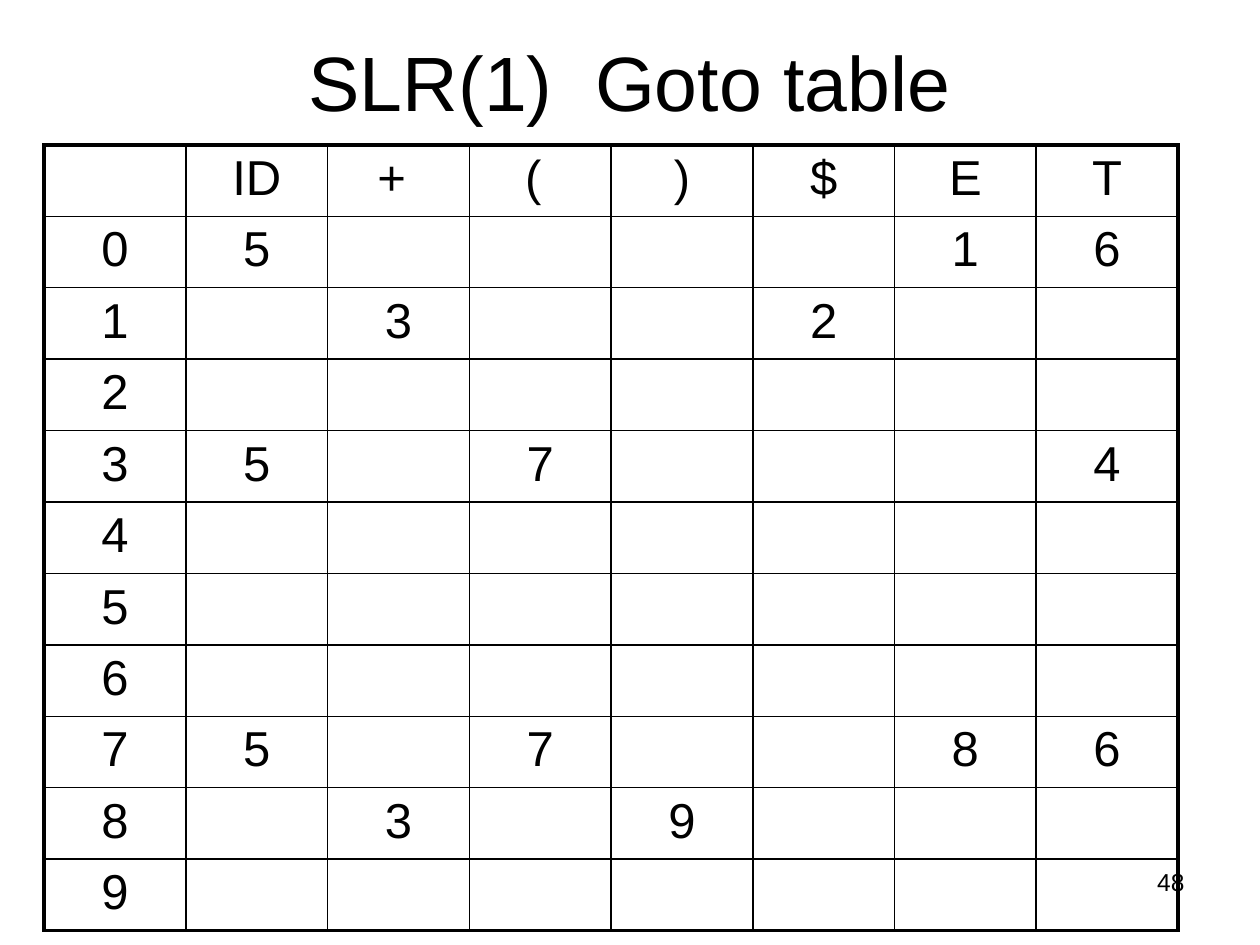
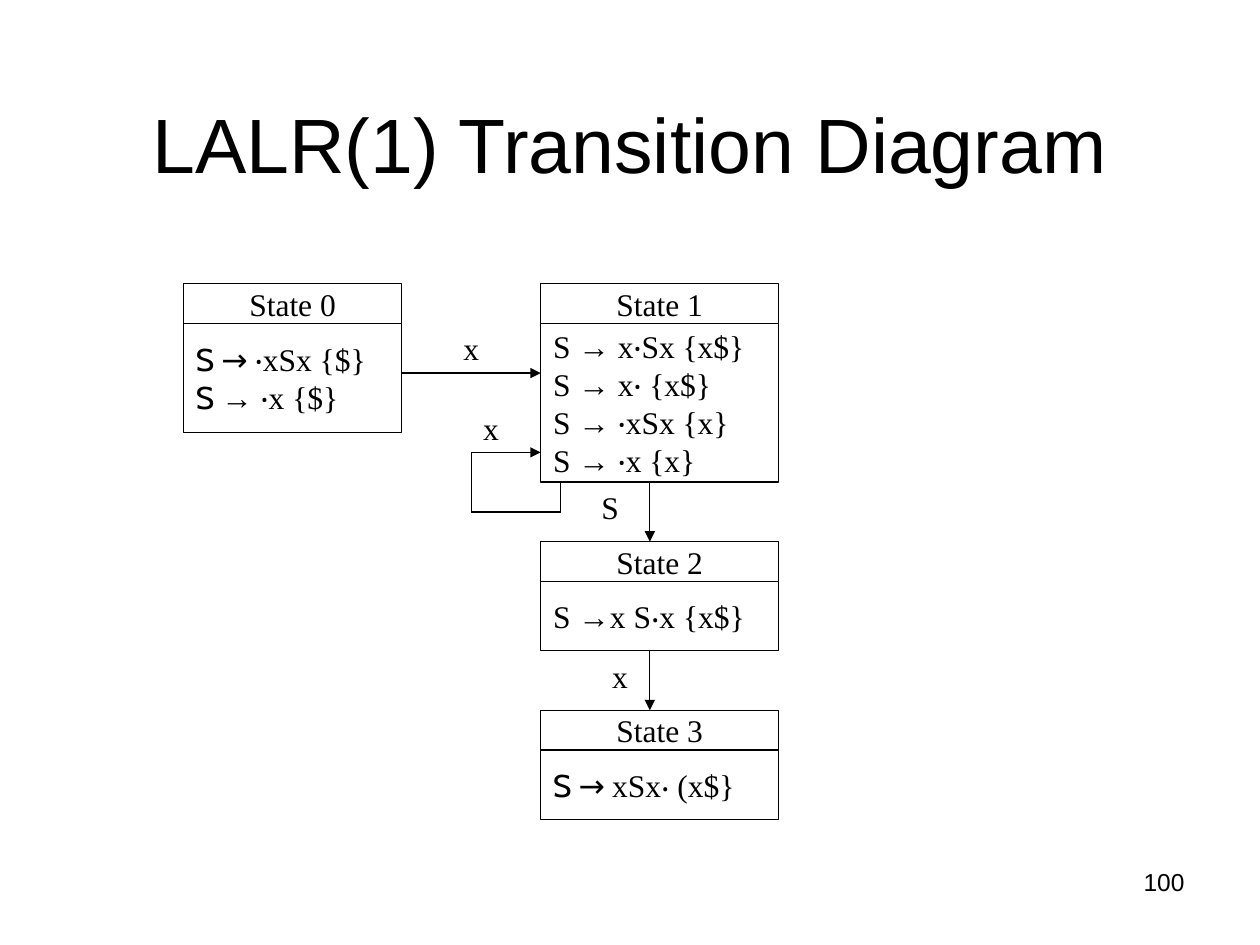
from itertools import pairwise

from lxml import etree
from pptx import Presentation
from pptx.dml.color import RGBColor
from pptx.enum.shapes import MSO_CONNECTOR, MSO_SHAPE
from pptx.enum.text import MSO_ANCHOR, MSO_AUTO_SIZE, PP_ALIGN
from pptx.oxml.ns import qn
from pptx.util import Cm, Pt

LEFT, CENTER, RIGHT = PP_ALIGN.LEFT, PP_ALIGN.CENTER, PP_ALIGN.RIGHT
TOP, MIDDLE, BOTTOM = MSO_ANCHOR.TOP, MSO_ANCHOR.MIDDLE, MSO_ANCHOR.BOTTOM
RECTANGLE, STRAIGHT = MSO_SHAPE.RECTANGLE, MSO_CONNECTOR.STRAIGHT
NO_AUTOFIT = MSO_AUTO_SIZE.NONE

COLORS = {"ink": "000000", "paper": "FFFFFF"}
SANS, SERIF, CABIN = "Arial", "Times New Roman", "Cabin"

GOTO = {"title": "SLR(1)  Goto table", "title_height": 1.93, "page": "48"}
SYMBOLS = ["ID", "+ ", "( ", ")", "$", "E", "T"]
GOTO_ROWS = [
    {"ID": 5, "E": 1, "T": 6},
    {"+ ": 3, "$": 2},
    {},
    {"ID": 5, "( ": 7, "T": 4},
    {},
    {},
    {},
    {"ID": 5, "( ": 7, "E": 8, "T": 6},
    {"+ ": 3, ")": 9},
    {},
]

DIAGRAM = {"title": "LALR(1) Transition Diagram", "title_height": 3.18, "page": "100"}
START_STATE = ("State 0", 2.2, [
    [("S → ", CABIN), ("‧xSx {$}", SERIF)],
    [("S ", CABIN), ("→ ‧x {$}", SERIF)],
])
STACKED_STATES = [
    ("State 1", 3.2, ["S → x‧Sx {x$}", "S → x‧ {x$}", "S → ‧xSx {x}", "S → ‧x {x}"]),
    ("State 2", 1.4, [[("S →x S", SERIF), ("‧", SANS), ("x {x$}", SERIF)]]),
    ("State 3", 1.4, [[("S → ", CABIN), ("xSx", SERIF), ("‧", SANS), (" (x$}", SERIF)]]),
]
DOWN_LABELS = [("S", 1.2), ("x", 1.0)]

START_LEFT, START_WIDTH = 3.7, 4.4
STACK_LEFT, STACK_WIDTH = 10.9, 4.8
STATES_TOP, STATE_GAP, HEADING_HEIGHT = 5.72, 1.2, 0.8
LABEL_WIDTH, LABEL_HEIGHT = 0.8, 0.6


def color(name):
    return RGBColor.from_string(COLORS[name])


def write(frame, lines, font=SANS, size=18, align=LEFT, anchor=TOP, wrap=True):
    frame.word_wrap = wrap
    frame.auto_size = NO_AUTOFIT
    frame.vertical_anchor = anchor
    for number, line in enumerate(lines):
        paragraph = frame.add_paragraph() if number else frame.paragraphs[0]
        paragraph.alignment = align
        for text, face in [(line, font)] if isinstance(line, str) else line:
            run = paragraph.add_run()
            run.text = text
            run.font.name = face
            run.font.size = Pt(size)
            run.font.bold = False
            run.font.color.rgb = color("ink")


def add_slide(deck, content):
    slide = deck.slides.add_slide(deck.slide_layouts[5])
    title = slide.shapes.title
    title.left, title.top = Cm(1.27), Cm(0.76)
    title.width, title.height = Cm(22.86), Cm(content["title_height"])
    write(title.text_frame, [content["title"]], size=44, align=CENTER, anchor=BOTTOM)
    page = slide.shapes.add_textbox(Cm(18.2), Cm(17.35), Cm(5.93), Cm(1.32))
    write(page.text_frame, [content["page"]], size=14, align=RIGHT)
    return slide


def add_borders(cell, widths):
    properties = cell._tc.get_or_add_tcPr()
    for side, width in widths.items():
        border = etree.SubElement(properties, qn(f"a:ln{side}"), w=str(Pt(width)))
        fill = etree.SubElement(border, qn("a:solidFill"))
        etree.SubElement(fill, qn("a:srgbClr"), val=COLORS["ink"])


def add_goto_table(slide):
    grid = [["", *SYMBOLS]]
    grid += [[str(state), *(str(row.get(symbol, "")) for symbol in SYMBOLS)]
             for state, row in enumerate(GOTO_ROWS)]
    last_row, last_column = len(grid) - 1, len(SYMBOLS)
    table = slide.shapes.add_table(
        len(grid), len(grid[0]), Cm(0.89), Cm(2.92), Cm(22.86), Cm(15.84)).table
    table.first_row = table.horz_banding = False
    for r, values in enumerate(grid):
        for c, value in enumerate(values):
            cell = table.cell(r, c)
            edges = {"L": c == 0, "R": c == last_column, "T": r == 0, "B": r == last_row}
            add_borders(cell, {side: 2.25 if outer else 1 for side, outer in edges.items()})
            cell.fill.background()
            if value:
                write(cell.text_frame, [value], size=28, align=CENTER)
            cell.vertical_anchor = TOP


def add_box(slide, lines, left, top, width, height, line="ink", align=CENTER, wrap=False):
    box = slide.shapes.add_shape(RECTANGLE, Cm(left), Cm(top), Cm(width), Cm(height))
    box.shadow.inherit = False
    box.fill.solid()
    box.fill.fore_color.rgb = color("paper")
    box.line.color.rgb = color(line)
    box.line.width = Pt(0.75)
    write(box.text_frame, lines, font=SERIF, align=align, anchor=MIDDLE, wrap=wrap)


def add_state(slide, state, left, top, width):
    name, body_height, items = state
    body_top = top + HEADING_HEIGHT
    add_box(slide, [name], left, top, width, HEADING_HEIGHT)
    add_box(slide, items, left, body_top, width, body_height, align=LEFT, wrap=True)
    return body_top + body_height


def add_label(slide, text, left, top):
    add_box(slide, [text], left, top, LABEL_WIDTH, LABEL_HEIGHT, line="paper")


def add_arrow(slide, *points):
    segments = list(pairwise(points))
    for number, (start, end) in enumerate(segments, 1):
        segment = slide.shapes.add_connector(STRAIGHT, *map(Cm, start + end))
        segment.line.color.rgb = color("ink")
        segment.line.width = Pt(0.75)
        if number == len(segments):
            etree.SubElement(segment.line._get_or_add_ln(), qn("a:tailEnd"), type="triangle")
        etree.SubElement(segment._element.spPr, qn("a:effectLst"))


def add_transition_diagram(slide):
    add_state(slide, START_STATE, START_LEFT, STATES_TOP, START_WIDTH)
    bottoms, top = [], STATES_TOP
    for state in STACKED_STATES:
        bottoms.append(add_state(slide, state, STACK_LEFT, top, STACK_WIDTH))
        top = bottoms[-1] + STATE_GAP

    shift_y = STATES_TOP + 1.8
    add_arrow(slide, (START_LEFT + START_WIDTH, shift_y), (STACK_LEFT, shift_y))
    add_label(slide, "x", 9.1, shift_y - 0.8)

    down_x = STACK_LEFT + 2.2
    for bottom, (symbol, offset) in zip(bottoms, DOWN_LABELS):
        add_arrow(slide, (down_x, bottom), (down_x, bottom + STATE_GAP))
        add_label(slide, symbol, down_x - offset, bottom + 0.2)

    loop_left, loop_right = STACK_LEFT - 1.4, STACK_LEFT + 0.4
    loop_top, loop_bottom = bottoms[0] - 0.6, bottoms[0] + 0.6
    add_arrow(slide, (loop_right, bottoms[0]), (loop_right, loop_bottom),
              (loop_left, loop_bottom), (loop_left, loop_top), (STACK_LEFT, loop_top))
    add_label(slide, "x", loop_left, loop_top - 0.8)


def main():
    deck = Presentation()
    deck.slide_width, deck.slide_height = Cm(25.4), Cm(19.05)
    add_goto_table(add_slide(deck, GOTO))
    add_transition_diagram(add_slide(deck, DIAGRAM))
    deck.save("out.pptx")


if __name__ == "__main__":
    main()
